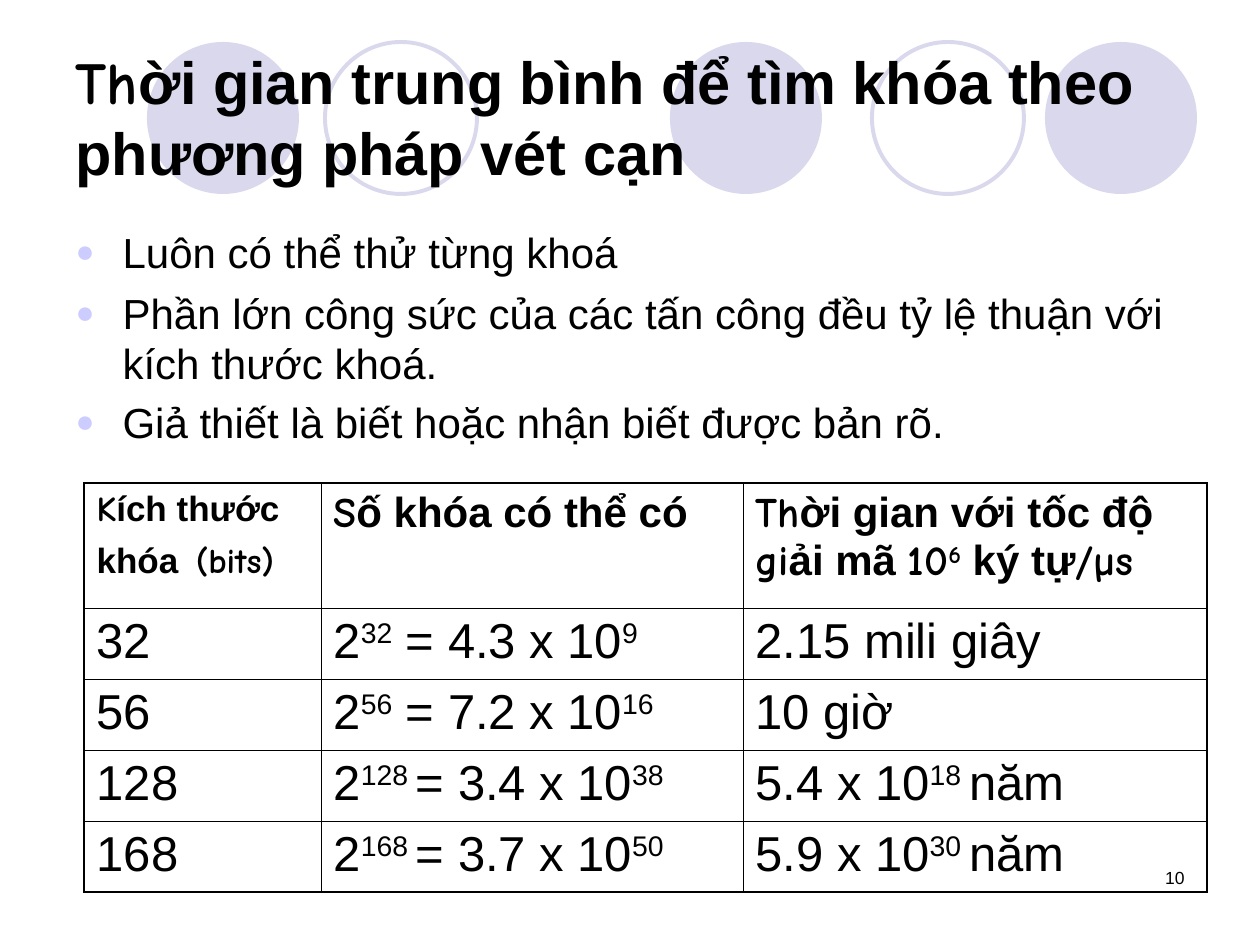
import pptx
import pptx.util
import pptx.dml.color
import pptx.enum.shapes
import pptx.enum.text
import pptx.oxml
import pptx.oxml.ns

HUES = {"ink": "000000", "ring": "D9D8EC", "dot": "CCCCFF"}
SANS, HAND = "Arial", "Comic Neue"
NS = pptx.oxml.ns.nsdecls("a")
ALIGN = pptx.enum.text.PP_ALIGN
ANCHOR = pptx.enum.text.MSO_ANCHOR


def px(n):
    return pptx.util.Emu(round(n * 914400 / 126))


def hue(name):
    return pptx.dml.color.RGBColor.from_string(HUES[name])


class Deck:
    def __init__(self):
        self.prs = pptx.Presentation()
        self.prs.slide_width, self.prs.slide_height = px(1260), px(945)
        self.slide = self.prs.slides.add_slide(self.prs.slide_layouts[1])
        self.shapes = self.slide.shapes

    def ring(self, x, solid):
        oval = pptx.enum.shapes.MSO_SHAPE.OVAL
        shape = self.shapes.add_shape(oval, px(x), px(42), px(152), px(152))
        shape.shadow.inherit = False
        if solid:
            shape.fill.solid()
            shape.fill.fore_color.rgb = hue("ring")
            shape.line.fill.background()
        else:
            shape.fill.background()
            shape.line.color.rgb = hue("ring")
            shape.line.width = pptx.util.Pt(2.25)

    def run(self, para, text, size, font=SANS, bold=False, sup=False):
        run = para.add_run()
        run.text = text
        run.font.size, run.font.name = pptx.util.Pt(size), font
        run.font.bold = bold
        run.font.color.rgb = hue("ink")
        if sup:
            run.font._element.set("baseline", "30000")

    def frame(self, shape, box, anchor):
        shape.left, shape.top, shape.width, shape.height = map(px, box)
        frame = shape.text_frame
        frame.word_wrap = True
        frame.auto_size = pptx.enum.text.MSO_AUTO_SIZE.NONE
        frame.vertical_anchor = anchor
        return frame

    def front(self, shape):
        self.shapes.element.append(shape.element)

    def title(self, box, runs):
        shape = self.shapes.title
        self.front(shape)
        para = self.frame(shape, box, ANCHOR.MIDDLE).paragraphs[0]
        para.alignment = ALIGN.LEFT
        for text, font in runs:
            self.run(para, text, 34, font, True)

    def list(self, box, items):
        shape = self.slide.placeholders[1]
        self.front(shape)
        frame = self.frame(shape, box, ANCHOR.TOP)
        for i, (text, gap) in enumerate(items):
            para = frame.add_paragraph() if i else frame.paragraphs[0]
            para.space_before = pptx.util.Pt(gap)
            self.run(para, text, 24)
            props = para._p.get_or_add_pPr()
            props.set("marL", str(px(47)))
            props.set("indent", str(px(-47)))
            for xml in (
                f'<a:buClr {NS}><a:srgbClr val="{HUES["dot"]}"/></a:buClr>',
                f'<a:buSzPct {NS} val="75000"/>',
                f'<a:buFont {NS} typeface="{SANS}"/>',
                f'<a:buChar {NS} char="●"/>',
            ):
                props.append(pptx.oxml.parse_xml(xml))

    def note(self, box, text):
        shape = self.shapes.add_textbox(*map(px, box))
        para = self.frame(shape, box, ANCHOR.TOP).paragraphs[0]
        para.alignment = ALIGN.RIGHT
        self.run(para, text, 10)

    def edge(self, cell, sides):
        props = cell._tc.get_or_add_tcPr()
        for side, outer in sides.items():
            width = pptx.util.Pt(1.08 if outer else 0.45)
            props.append(pptx.oxml.parse_xml(
                f'<a:ln{side} {NS} w="{width}"><a:solidFill>'
                f'<a:srgbClr val="{HUES["ink"]}"/></a:solidFill></a:ln{side}>'))
        cell.fill.background()

    def table(self, x, y, cols, rows, head, body):
        table = self.shapes.add_table(len(rows), len(cols), px(x), px(y),
                                      px(sum(cols)), px(sum(rows))).table
        table.first_row = table.horz_banding = False
        for col, width in zip(table.columns, cols):
            col.width = px(width)
        for row, height in zip(table.rows, rows):
            row.height = px(height)
        for r in range(len(rows)):
            for c in range(len(cols)):
                cell = table.cell(r, c)
                self.edge(cell, {"L": c == 0, "R": c == len(cols) - 1,
                                 "T": r == 0, "B": r == len(rows) - 1})
                para = cell.text_frame.paragraphs[0]
                para.space_before = pptx.util.Pt(7 if r else 6 if c else 5)
                if r:
                    # Text between carets is raised
                    for i, text in enumerate(body[r - 1][c].split("^")):
                        if text:
                            self.run(para, text, 28, sup=i % 2 == 1)
                else:
                    for text, size, font, *sup in head[c]:
                        self.run(para, text, size, font, True, bool(sup))


def main():
    deck = Deck()

    # Background circles
    for x, solid in ((670, True), (1045, True), (147, True),
                     (872, False), (325, False)):
        deck.ring(x, solid)

    # Page number, title and list
    deck.note((903, 861, 294, 63), "10")
    deck.title((63, 38, 1134, 157), [
        ("Th", HAND),
        ("ời gian trung bình để tìm khóa theo phương pháp vét cạn", SANS)])
    deck.list((63, 220, 1124, 242), [
        ("Luôn có thể thử từng khoá", 6),
        ("Phần lớn công sức của các tấn công đều tỷ lệ thuận với "
         "kích thước khoá.", 6),
        ("Giả thiết là biết hoặc nhận biết được bản rõ.", 5)])

    # Key size table
    head = [
        [("K", 20, HAND), ("ích thước khóa", 20, SANS),
         (" ", 28, HAND), ("(bits)", 20, HAND)],
        [("S", 24, HAND), ("ố khóa có thể có", 24, SANS)],
        [("Th", 24, HAND), ("ời gian với tốc độ ", 24, SANS),
         ("gi", 24, HAND), ("ải mã ", 24, SANS), ("10", 24, HAND),
         ("6", 24, HAND, True), (" ký tự", 24, SANS), ("/µs", 24, HAND)],
    ]
    body = [
        ("32", "2^32^ = 4.3 x 10^9^", "2.15 mili giây"),
        ("56", "2^56^ = 7.2 x 10^16^", "10 giờ"),
        ("128", "2^128 ^= 3.4 x 10^38^", "5.4 x 10^18 ^năm"),
        ("168", "2^168 ^= 3.7 x 10^50^", "5.9 x 10^30 ^năm"),
    ]
    deck.table(84, 483, [237, 422, 464], [125] + [71] * len(body), head, body)

    deck.prs.save("out.pptx")


if __name__ == "__main__":
    main()
